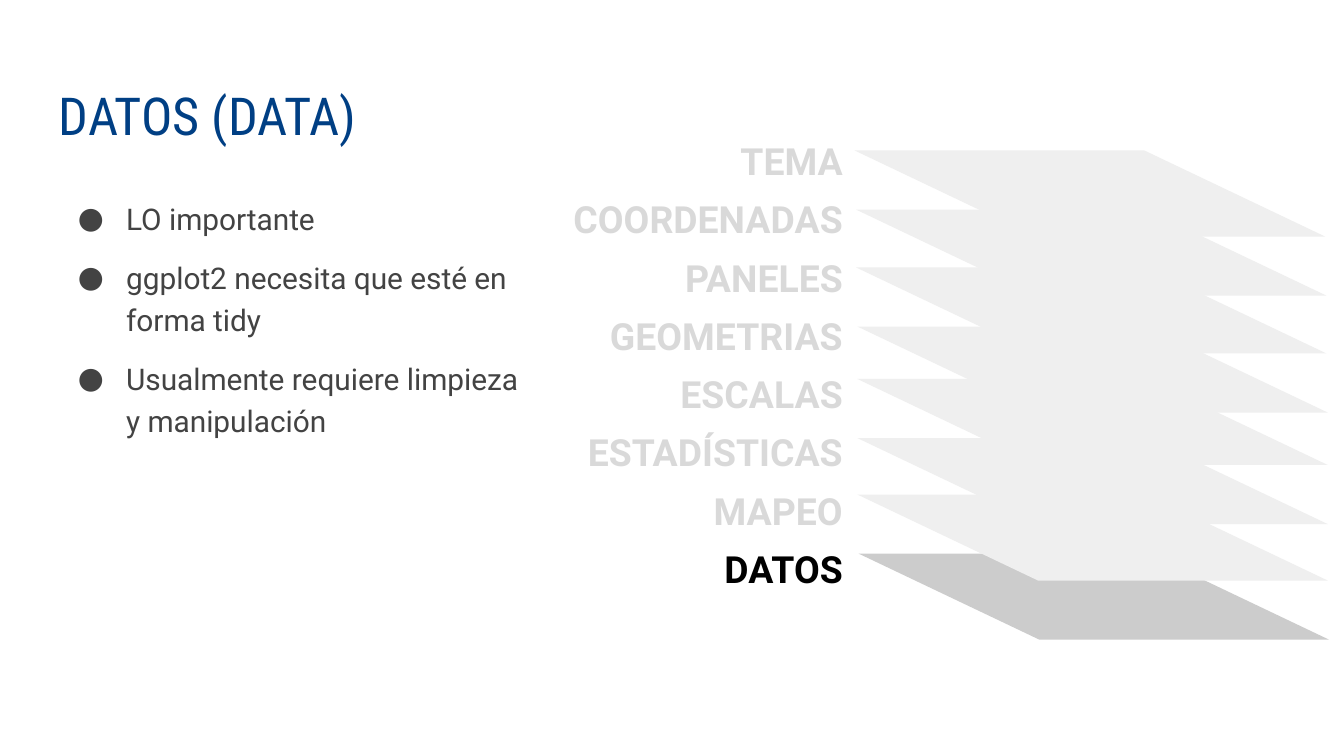
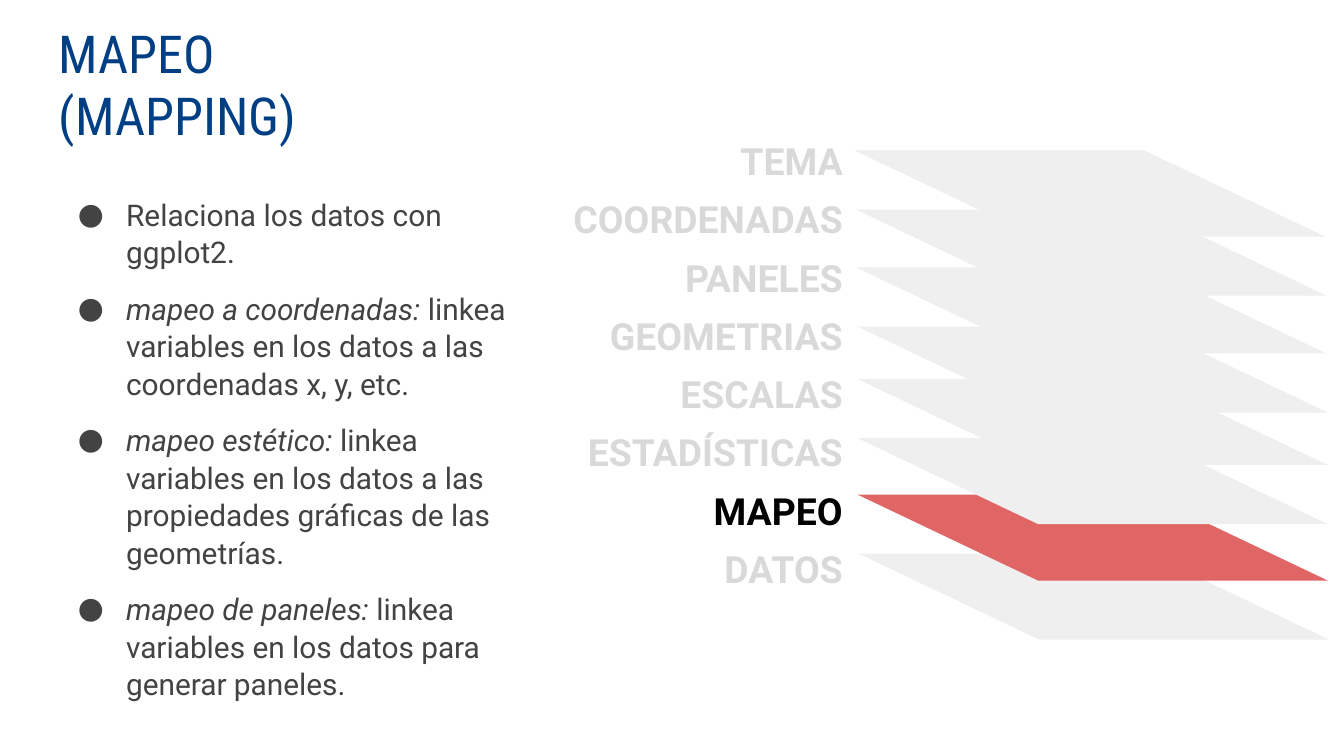
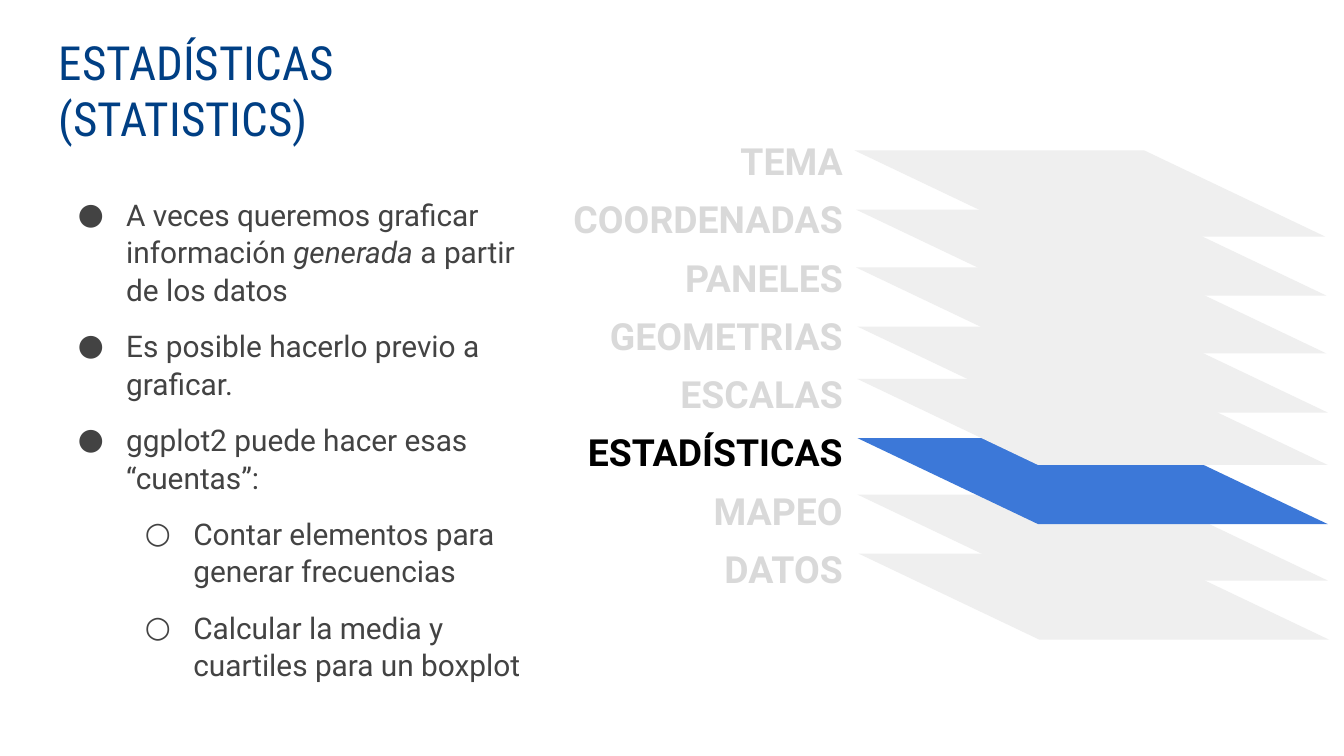
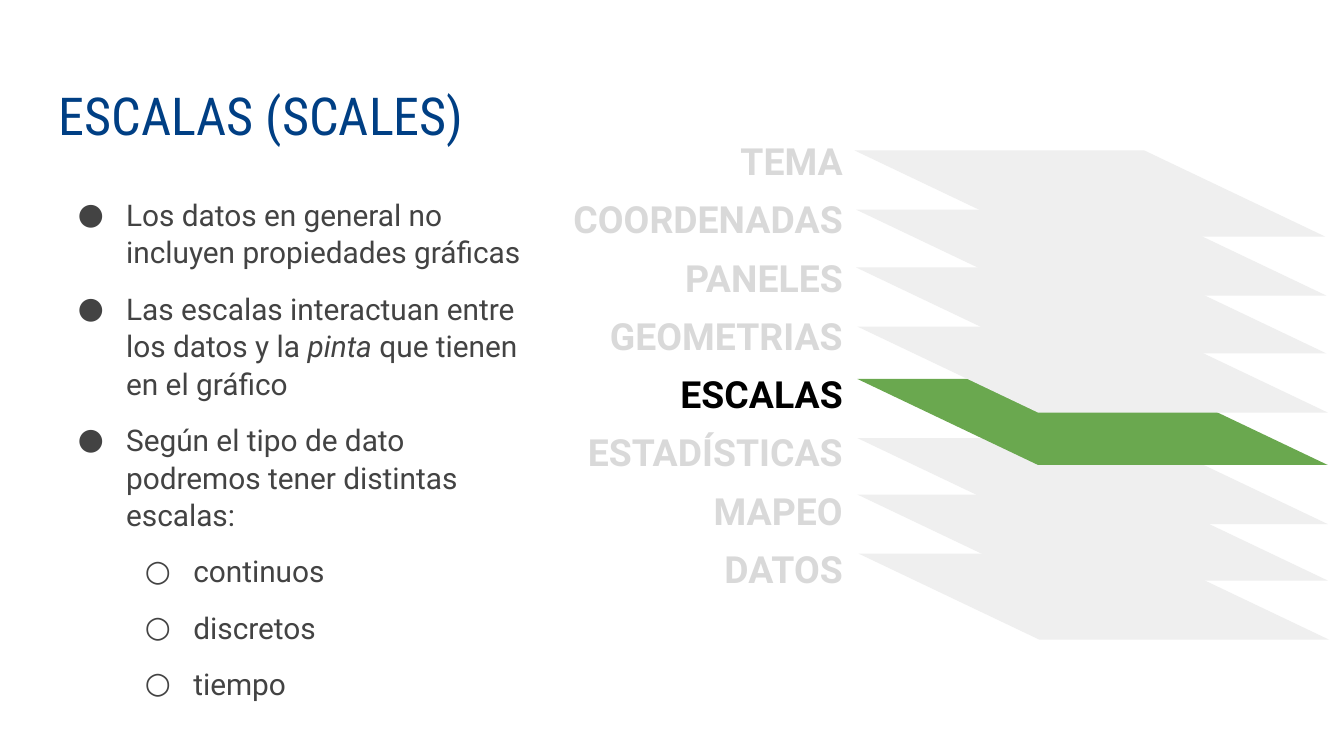
from dataclasses import dataclass

from lxml import etree
from pptx import Presentation
from pptx.dml.color import RGBColor
from pptx.enum import shapes, text
from pptx.oxml import ns
from pptx.util import Inches, Pt


@dataclass(frozen=True)
class Theme:
    title_font: str = "Roboto Condensed"
    body_font: str = "Roboto"
    title_color: str = "003F84"
    body_color: str = "434343"
    label_color: str = "D9D9D9"
    active_label_color: str = "000000"
    layer_color: str = "EFEFEF"
    title_size: float = 28
    label_size: float = 20
    body_size: float = 16
    paragraph_gap: float = 10


THEME = Theme()
SLIDE_WIDTH = 10
SLIDE_HEIGHT = SLIDE_WIDTH * 9 / 16

# From the bottom layer up: name, left, top, highlight colour
LAYERS = [
    ("DATOS", 6.39, 4.12, "CCCCCC"),
    ("MAPEO", 6.38, 3.68, "E06666"),
    ("ESTADÍSTICAS", 6.38, 3.26, "3C78D8"),
    ("ESCALAS", 6.38, 2.82, "6AA84F"),
    ("GEOMETRIAS", 6.38, 2.43, None),
    ("PANELES", 6.37, 1.99, None),
    ("COORDENADAS", 6.37, 1.56, None),
    ("TEMA", 6.36, 1.12, None),
]
LAYER_WIDTH, LAYER_HEIGHT, LAYER_SLANT = 3.5, 0.64, 2.1
BULLETS = "●○"

# Bullets are (level, text); asterisks enclose italics
TOPICS = [
    dict(
        layer="DATOS", title="DATOS (DATA)", title_width=3.07,
        body_height=3.48, spacing=1.15,
        bullets=[
            (0, "LO importante"),
            (0, "ggplot2 necesita que esté en forma tidy"),
            (0, "Usualmente requiere limpieza y manipulación"),
        ],
    ),
    dict(
        layer="MAPEO", title="MAPEO (MAPPING)", title_width=3.07,
        bullets=[
            (0, "Relaciona los datos con ggplot2."),
            (0, "*mapeo a coordenadas:* linkea variables en los datos a las "
                "coordenadas x, y, etc."),
            (0, "*mapeo estético:* linkea variables en los datos a las "
                "propiedades gráficas de las geometrías."),
            (0, "*mapeo de paneles:* linkea variables en los datos para "
                "generar paneles."),
        ],
    ),
    dict(
        layer="ESTADÍSTICAS", title="ESTADÍSTICAS (STATISTICS)", title_size=25.2,
        bullets=[
            (0, "A veces queremos graficar información *generada* a partir "
                "de los datos"),
            (0, "Es posible hacerlo previo a graficar."),
            (0, "ggplot2 puede hacer esas “cuentas”:"),
            (1, "Contar elementos para generar frecuencias"),
            (1, "Calcular la media y cuartiles para un boxplot"),
        ],
    ),
    dict(
        layer="ESCALAS", title="ESCALAS (SCALES)",
        bullets=[
            (0, "Los datos en general no incluyen propiedades gráficas"),
            (0, "Las escalas interactuan entre los datos y la *pinta* que "
                "tienen en el gráfico"),
            (0, "Según el tipo de dato podremos tener distintas escalas:"),
            (1, "continuos"),
            (1, "discretos"),
            (1, "tiempo"),
        ],
    ),
]


def style_font(font, name, size, color, bold=None):
    font.name = name
    font.size = Pt(size)
    font.bold = bold
    font.color.rgb = RGBColor.from_string(color)


def add_text_frame(slide, left, top, width, height):
    box = slide.shapes.add_textbox(*map(Inches, (left, top, width, height)))
    frame = box.text_frame
    frame.word_wrap = True
    frame.margin_left = frame.margin_right = Inches(0.1)
    frame.margin_top = frame.margin_bottom = Inches(0.1)
    return frame


def add_paragraph(frame, index):
    return frame.add_paragraph() if index else frame.paragraphs[0]


def add_layer_stack(slide, active):
    stack = slide.shapes.add_group_shape()
    for name, left, top, highlight in LAYERS:
        layer = stack.shapes.add_shape(
            shapes.MSO_SHAPE.PARALLELOGRAM,
            *map(Inches, (left, top, LAYER_WIDTH, LAYER_HEIGHT)))
        layer.adjustments[0] = LAYER_SLANT
        layer._element.spPr.xfrm.set("flipH", "1")
        layer.shadow.inherit = False
        layer.fill.solid()
        color = highlight if name == active else THEME.layer_color
        layer.fill.fore_color.rgb = RGBColor.from_string(color)
        layer.line.fill.background()


def add_layer_labels(slide, active):
    frame = add_text_frame(slide, 4.13, 0.83, 2.24, 3.6)
    frame.auto_size = text.MSO_AUTO_SIZE.SHAPE_TO_FIT_TEXT
    for index, (name, *_) in enumerate(reversed(LAYERS)):
        label = add_paragraph(frame, index)
        label.text = name
        label.alignment = text.PP_ALIGN.RIGHT
        label.line_spacing = 1.3
        color = THEME.active_label_color if name == active else THEME.label_color
        style_font(label.font, THEME.body_font, THEME.label_size, color, bold=True)


def add_title(slide, title, width, size):
    frame = add_text_frame(slide, 0.34, 0.36, width, 0.83)
    frame.vertical_anchor = text.MSO_ANCHOR.BOTTOM
    heading = frame.paragraphs[0]
    heading.text = title
    style_font(heading.font, THEME.title_font, size, THEME.title_color)


def set_bullet(paragraph, level):
    paragraph.level = level
    properties = paragraph._p.get_or_add_pPr()
    properties.set("marL", str(Inches(0.5 * (level + 1))))
    properties.set("indent", str(Inches(-0.36)))
    color = etree.SubElement(properties, ns.qn("a:buClr"))
    etree.SubElement(color, ns.qn("a:srgbClr"), val=THEME.body_color)
    etree.SubElement(properties, ns.qn("a:buFont"), typeface=THEME.body_font)
    etree.SubElement(properties, ns.qn("a:buChar"), char=BULLETS[level])


def add_bullets(slide, bullets, height, spacing):
    frame = add_text_frame(slide, 0.34, 1.35, 3.72, height)
    for index, (level, wording) in enumerate(bullets):
        item = add_paragraph(frame, index)
        set_bullet(item, level)
        item.line_spacing = spacing
        if index:
            item.space_before = Pt(THEME.paragraph_gap)
        style_font(item.font, THEME.body_font, THEME.body_size, THEME.body_color)
        for position, part in enumerate(wording.split("*")):
            if part:
                run = item.add_run()
                run.text = part
                if position % 2:
                    run.font.italic = True
    item.space_after = Pt(THEME.paragraph_gap)


def add_topic_slide(deck, layer, title, bullets, title_width=4.17,
                    title_size=THEME.title_size, body_height=4.07, spacing=1.05):
    slide = deck.slides.add_slide(deck.slide_layouts[6])
    add_layer_stack(slide, layer)
    add_layer_labels(slide, layer)
    add_title(slide, title, title_width, title_size)
    add_bullets(slide, bullets, body_height, spacing)


def main():
    deck = Presentation()
    deck.slide_width = Inches(SLIDE_WIDTH)
    deck.slide_height = Inches(SLIDE_HEIGHT)
    for topic in TOPICS:
        add_topic_slide(deck, **topic)
    deck.save("out.pptx")


if __name__ == "__main__":
    main()
